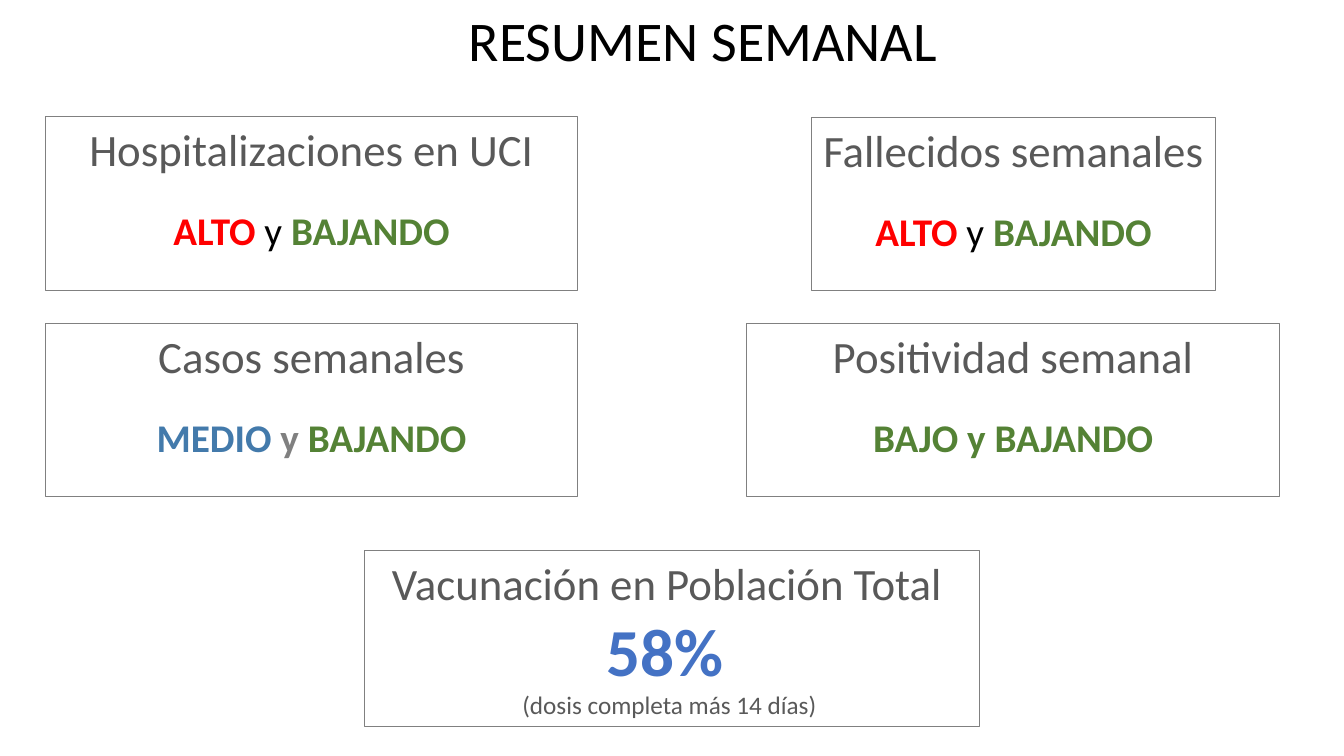
from pptx import Presentation
from pptx.dml.color import RGBColor
from pptx.enum.shapes import MSO_SHAPE
from pptx.enum.text import MSO_ANCHOR, MSO_AUTO_SIZE, PP_ALIGN
from pptx.util import Pt

BLACK = RGBColor(0x00, 0x00, 0x00)
DARK_GREY = RGBColor(0x59, 0x59, 0x59)
GREY = RGBColor(0x80, 0x80, 0x80)
RED = RGBColor(0xFF, 0x00, 0x00)
GREEN = RGBColor(0x54, 0x82, 0x35)
STEEL = RGBColor(0x43, 0x7A, 0xAB)
BLUE = RGBColor(0x44, 0x72, 0xC4)


def add_run(p, text, size=28, color=DARK_GREY, bold=False):
    r = p.add_run()
    r.text = text
    r.font.name = "Calibri"
    r.font.size = Pt(size)
    r.font.bold = bold
    r.font.color.rgb = color


prs = Presentation()
prs.slide_width, prs.slide_height = Pt(960), Pt(540)
s = prs.slides.add_slide(prs.slide_layouts[5])

# Title
title = s.shapes.title
title.left, title.top, title.width, title.height = Pt(327.6), Pt(0), Pt(352), Pt(55.4)
tf = title.text_frame
tf.word_wrap = False
tf.auto_size = MSO_AUTO_SIZE.NONE
tf.vertical_anchor = MSO_ANCHOR.TOP
tf.paragraphs[0].alignment = PP_ALIGN.LEFT
add_run(tf.paragraphs[0], "RESUMEN SEMANAL", size=40, color=BLACK)

# Cards: position, wrapping, heading, gap below the heading, further lines of runs
LEFT, CARD_W, CARD_H = 32.4, 380.2, 123.8
ROW_1, ROW_2 = 83.5, 231
high = ("ALTO", dict(color=RED, bold=True))
plain_and = (" y ", dict(color=BLACK))
falling = ("BAJANDO", dict(color=GREEN, bold=True))
cards = [
    (260.6, 393.1, 439.2, 126, True, "Vacunación en Población Total ", 0,
     [[("58% ", dict(size=48, color=BLUE, bold=True))],
      [("(dosis completa más 14 días) ", dict(size=18))]]),
    (LEFT, ROW_1, CARD_W, CARD_H, True, "Hospitalizaciones en UCI", 22,
     [[high, plain_and, falling]]),
    (579.6, ROW_1 + 0.5, 288.7, CARD_H, False, "Fallecidos semanales", 22,
     [[high, plain_and, falling]]),
    (LEFT, ROW_2, CARD_W, CARD_H, True, "Casos semanales", 22,
     [[("MEDIO ", dict(color=STEEL, bold=True)),
       ("y ", dict(color=GREY, bold=True)), falling]]),
    (533.5, ROW_2, CARD_W, CARD_H, True, "Positividad semanal", 22,
     [[("BAJO y BAJANDO", dict(color=GREEN, bold=True))]]),
]
for x, y, w, h, wrap, heading, gap, lines in cards:
    sp = s.shapes.add_shape(MSO_SHAPE.RECTANGLE, Pt(x), Pt(y), Pt(w), Pt(h))
    sp.shadow.inherit = False
    sp.fill.background()
    sp.line.color.rgb = GREY
    sp.line.width = Pt(0.75)
    tf = sp.text_frame
    tf.word_wrap = wrap
    tf.vertical_anchor = MSO_ANCHOR.TOP
    p = tf.paragraphs[0]
    p.alignment = PP_ALIGN.CENTER
    add_run(p, heading, size=32)
    for line in lines:
        p = tf.add_paragraph()
        p.alignment = PP_ALIGN.CENTER
        p.space_before = Pt(gap)
        for text, style in line:
            add_run(p, text, **style)

prs.save("out.pptx")
